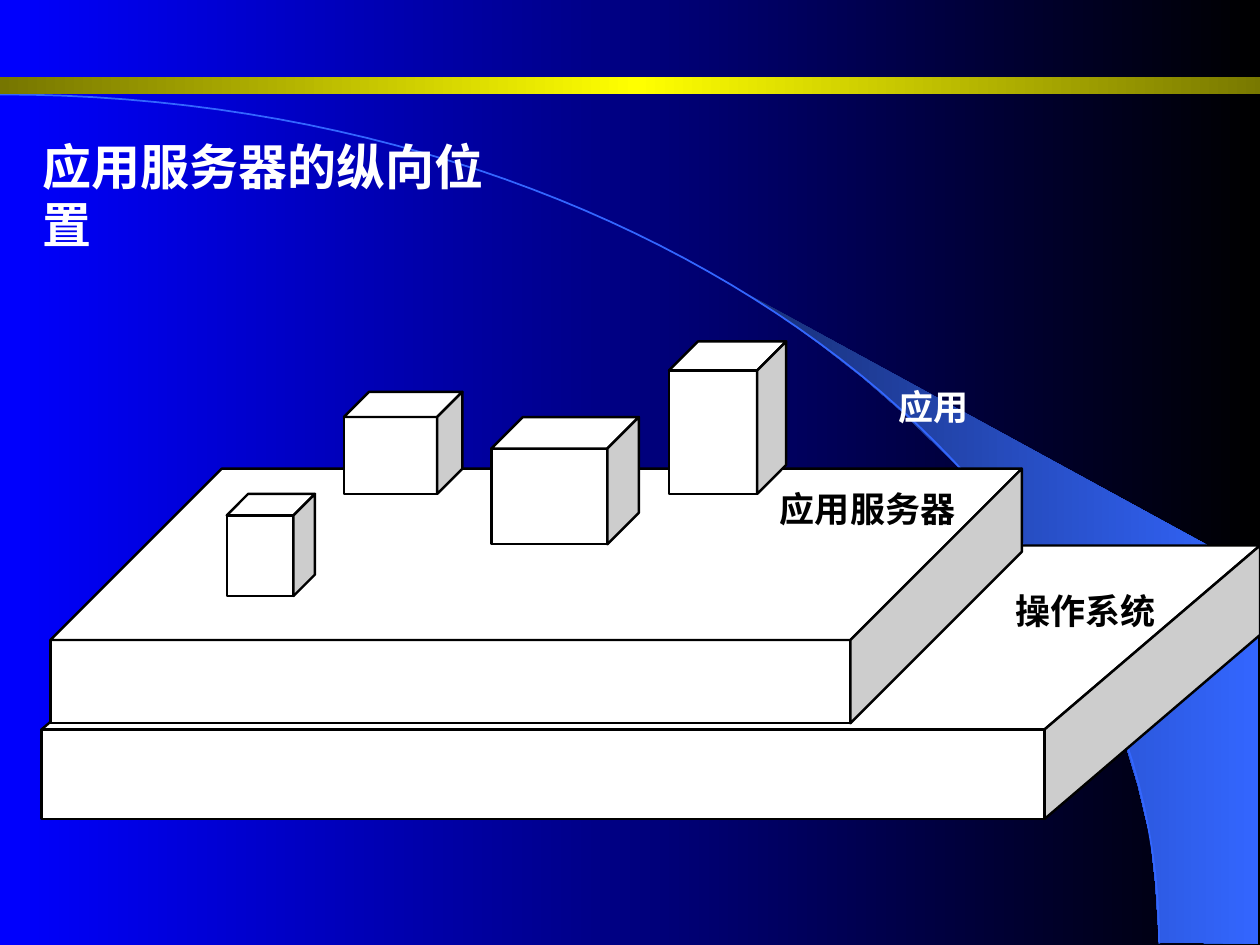
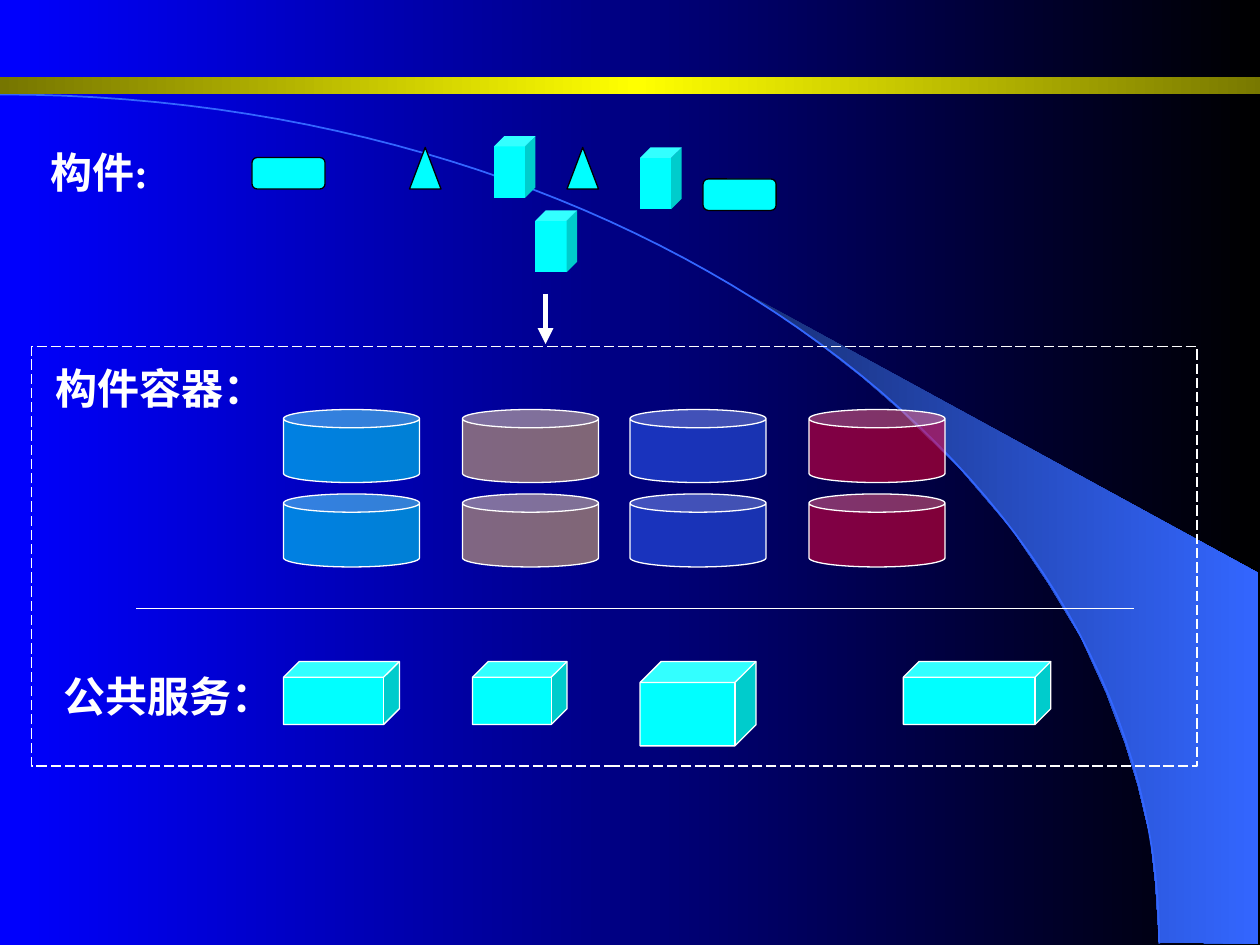
"""Build two slides on application servers: the vertical layers and the component container."""
from copy import deepcopy

from lxml.etree import SubElement
from pptx import Presentation
from pptx.dml.color import RGBColor
from pptx.enum.dml import MSO_LINE
from pptx.enum.shapes import MSO_CONNECTOR, MSO_SHAPE as SHAPE
from pptx.enum.text import MSO_ANCHOR, MSO_AUTO_SIZE, PP_ALIGN
from pptx.oxml.ns import qn
from pptx.util import Inches, Pt

WHITE, BLACK, SHADE = "FFFFFF", "000000", "CDCDCD"
CYAN, BLUE, NAVY = "00FFFF", "3366FF", "182F76"
LATIN, CJK = "Times New Roman", "Noto Sans CJK SC"


def paint(fill, *colours):
    """Apply no fill, a solid colour or an even left-to-right gradient."""
    if not colours:
        fill.background()
    elif len(colours) == 1:
        fill.solid()
        fill.fore_color.rgb = RGBColor.from_string(colours[0])
    else:
        fill.gradient()
        fill.gradient_angle = 0
        stops = fill.gradient_stops._gsLst
        for _ in colours[2:]:
            stops.append(deepcopy(stops[0]))
        for i, (stop, colour) in enumerate(zip(fill.gradient_stops, colours)):
            stop.position = i / (len(colours) - 1)
            stop.color.rgb = RGBColor.from_string(colour)


def outline(shapes, points, close=True):
    """Add a freeform through points given in inches."""
    points = [(Inches(x), Inches(y)) for x, y in points]
    builder = shapes.build_freeform(*points[0], scale=1.0)
    builder.add_line_segments(points[1:], close=close)
    s = builder.convert_to_shape()
    s.shadow.inherit = False
    return s


prs = Presentation()
prs.slide_width, prs.slide_height = Inches(10), Inches(7.5)
master = prs.slide_master
paint(master.background.fill, "0000FF", BLACK)
layers = prs.slides.add_slide(prs.slide_layouts[5])
container = prs.slides.add_slide(prs.slide_layouts[6])

beam = outline(layers.shapes, [
    (9.2, 7.48), (9.99, 7.49), (9.99, 4.55), (5.89, 2.31), (6.24, 2.54), (6.53, 2.75),
    (6.85, 3), (7.16, 3.27), (7.62, 3.72), (8.03, 4.2), (8.32, 4.63), (8.58, 5.06),
    (8.78, 5.5), (8.93, 5.9), (9.03, 6.23), (9.13, 6.65), (9.17, 7.02)])
paint(beam.fill, NAVY, BLUE)
paint(beam.line.fill)

curve = []
for step in range(61):
    t = step / 60
    a, b, c, d = (1 - t) ** 3, 3 * t * (1 - t) ** 2, 3 * t ** 2 * (1 - t), t ** 3
    curve.append((5.08 * b + 9.2 * (c + d), 0.75 * (a + b) + 3.77 * c + 7.49 * d))
arc = outline(layers.shapes, curve, close=False)
paint(arc.fill)
paint(arc.line.fill, BLUE)
arc.line.width = Pt(1)

band = layers.shapes.add_shape(SHAPE.RECTANGLE, 0, Inches(0.61), Inches(10.11), Inches(0.14))
band.shadow.inherit = False
paint(band.fill, "767600", "FFFF00", "767600")
paint(band.line.fill)

for i, s in enumerate((beam, arc, band)):
    s._element.nvSpPr.cNvPr.set("id", str(20 + i))
    master.shapes._spTree.insert(2 + i, s._element)

blocks = [
    (0.33, 5.79, 7.96, 0.71, 1.71, 1.46),
    (0.4, 5.08, 6.35, 0.66, 1.36, 1.36),
    (1.8, 4.09, 0.53, 0.64, 0.17, 0.17),
    (2.73, 3.31, 0.74, 0.61, 0.2, 0.2),
    (3.9, 3.56, 0.92, 0.76, 0.25, 0.25),
    (5.31, 2.94, 0.7, 0.98, 0.23, 0.23),
]
for x, y, w, h, dx, dy in blocks:
    group = layers.shapes.add_group_shape().shapes
    right, bottom = x + w, y + h
    front = [(x, y), (right, y), (right, bottom), (x, bottom)]
    top = [(x, y), (right, y), (right + dx, y - dy), (x + dx, y - dy)]
    side = [(right, y), (right + dx, y - dy), (right + dx, bottom - dy), (right, bottom)]
    for face, colour in ((front, WHITE), (top, WHITE), (side, SHADE)):
        s = outline(group, face)
        paint(s.fill, colour)
        paint(s.line.fill, BLACK)
        s.line.width = Pt(1.39)

figures = []
for y in (3.25, 3.92):
    for x, colour in ((2.25, CYAN), (3.67, "FFCC66"), (5, BLUE), (6.42, "FF0033")):
        figures.append((SHAPE.CAN, x, y, 1.08, 0.58, colour, WHITE))
for x, w, h in ((2.25, 0.92, 0.5), (3.75, 0.75, 0.5), (5.08, 0.92, 0.67), (7.17, 1.17, 0.5)):
    figures.append((SHAPE.CUBE, x, 5.25, w, h, CYAN, WHITE))
figures.append((SHAPE.RECTANGLE, 0.25, 2.75, 9.25, 3.33, None, WHITE))
for x, y in ((2, 1.25), (5.58, 1.42)):
    figures.append((SHAPE.ROUNDED_RECTANGLE, x, y, 0.58, 0.25, CYAN, BLACK))
for x in (3.25, 4.5):
    figures.append((SHAPE.ISOSCELES_TRIANGLE, x, 1.17, 0.25, 0.33, CYAN, BLACK))
for x, y in ((3.92, 1.08), (5.08, 1.17), (4.25, 1.67)):
    figures.append((SHAPE.CUBE, x, y, 0.33, 0.49, CYAN, None))

for kind, x, y, w, h, colour, line in figures:
    s = container.shapes.add_shape(kind, Inches(x), Inches(y), Inches(w), Inches(h))
    s.shadow.inherit = False
    paint(s.fill, *filter(None, [colour]))
    paint(s.line.fill, *filter(None, [line]))
    if line:
        s.line.width = Pt(0.75)
    if kind == SHAPE.CAN:
        SubElement(s._element.spPr.find(".//" + qn("a:srgbClr")), qn("a:alpha"), val="50000")
    if kind == SHAPE.RECTANGLE:
        s.line.dash_style = MSO_LINE.LONG_DASH

for x1, y1, x2, y2, width in ((1.08, 4.83, 9, 4.83, 0.75), (4.33, 2.33, 4.33, 2.73, 3)):
    s = container.shapes.add_connector(
        MSO_CONNECTOR.STRAIGHT, Inches(x1), Inches(y1), Inches(x2), Inches(y2))
    paint(s.line.fill, WHITE)
    s.line.width = Pt(width)
    if x1 == x2:
        SubElement(s.line._get_or_add_ln(), qn("a:tailEnd"), type="triangle")
    SubElement(s._element.spPr, qn("a:effectLst"))

labels = [
    (layers, "应用服务器的纵向位置", 0.24, 1.03, 4.08, 0.57, 28, LATIN, WHITE),
    (layers, "操作系统", 8.06, 4.68, 1.11, 0.33, 20, CJK, BLACK),
    (layers, "应用", 7.13, 3.06, 0.56, 0.33, 20, CJK, WHITE),
    (layers, "应用服务器", 6.19, 3.87, 1.39, 0.33, 20, CJK, BLACK),
    (container, "构件容器：", 0.34, 2.83, 1.86, 0.5, 24, LATIN, WHITE),
    (container, "公共服务：", 0.41, 5.27, 1.86, 0.5, 24, LATIN, WHITE),
    (container, "构件:", 0.3, 1.11, 1.06, 0.5, 24, LATIN, WHITE),
]
for slide, text, x, y, w, h, size, font, colour in labels:
    place = [Inches(v) for v in (x, y, w, h)]
    if size == 28:
        s = slide.shapes.title
        s.left, s.top, s.width, s.height = place
    else:
        s = slide.shapes.add_textbox(*place)
    tf = s.text_frame
    tf.text = text
    tf.word_wrap = False
    tf.auto_size = MSO_AUTO_SIZE.NONE
    tf.vertical_anchor = MSO_ANCHOR.TOP
    if font == CJK:
        tf.margin_left = tf.margin_top = tf.margin_right = tf.margin_bottom = 0
    p = tf.paragraphs[0]
    p.alignment = PP_ALIGN.LEFT
    r = p.runs[0]
    r.font.size, r.font.bold, r.font.name = Pt(size), True, font
    paint(r.font.fill, colour)
    SubElement(r._r.get_or_add_rPr(), qn("a:ea"), typeface=CJK)

prs.save("out.pptx")
